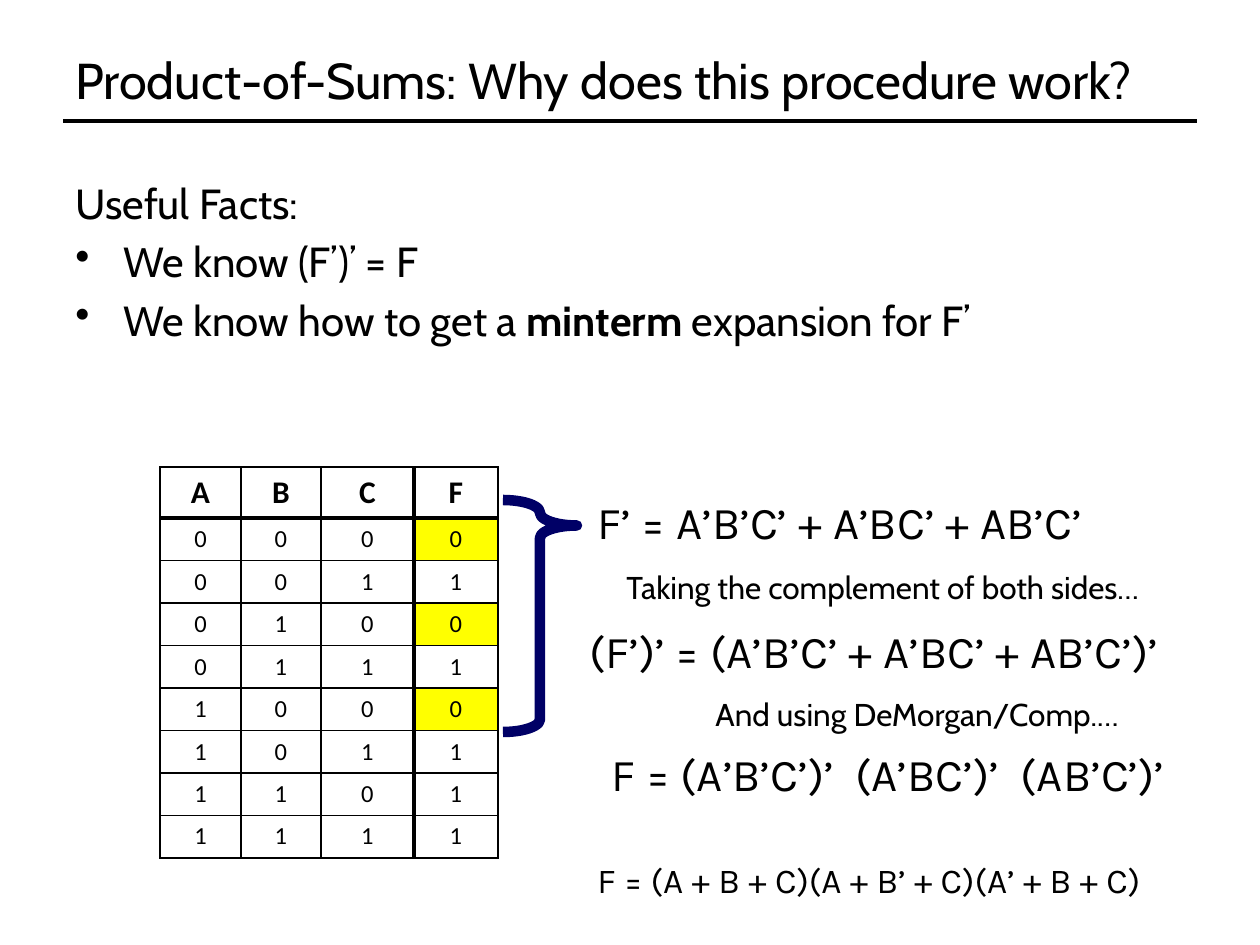
from itertools import product
from lxml.etree import SubElement
from pptx import Presentation
from pptx.dml.color import RGBColor
from pptx.enum.shapes import MSO_CONNECTOR, MSO_SHAPE
from pptx.enum.text import MSO_ANCHOR, MSO_AUTO_SIZE, PP_ALIGN
from pptx.oxml.ns import qn
from pptx.util import Pt

SCALE = 914400 / 126


def px(n):
    return round(n * SCALE)


def color(code):
    return RGBColor.from_string(code)


class Deck:
    """Holds the style and the current slide, and draws each kind of element."""

    ink, mark, navy = "000000", "FFFF00", "000066"
    prose, math, grid = "Cabin", "Karla", "Calibri"
    thin, thick = 1, 2.25

    def __init__(self, width, height):
        self.show = Presentation()
        self.show.slide_width, self.show.slide_height = px(width), px(height)
        self.slide = self.show.slides.add_slide(self.show.slide_layouts[6])

    def run(self, para, text, size, font, bold=False):
        run = para.add_run()
        run.text = text
        style = {"size": Pt(size), "name": font, "bold": bold}
        for key, value in style.items():
            setattr(run.font, key, value)
        run.font.color.rgb = color(self.ink)

    def text(self, box, lines, size, font, **form):
        frame = self.slide.shapes.add_textbox(*map(px, box)).text_frame
        style = {"word_wrap": True, "auto_size": MSO_AUTO_SIZE.NONE} | form
        for key, value in style.items():
            setattr(frame, key, value)
        for i, runs in enumerate(lines):
            para = frame.add_paragraph() if i else frame.paragraphs[0]
            for part, bold in runs:
                self.run(para, part, size, font, bold)
        return frame.paragraphs

    def label(self, box, text, size, font, wrap=True):
        self.text(box, [[(text, False)]], size, font, word_wrap=wrap,
                  auto_size=MSO_AUTO_SIZE.SHAPE_TO_FIT_TEXT)

    def bullet(self, para, indent):
        props = para._p.get_or_add_pPr()
        props.set("marL", str(px(indent)))
        props.set("indent", str(-px(indent)))
        SubElement(props, qn("a:buChar")).set("char", "•")

    def rule(self, left, right, y, width):
        line = self.slide.shapes.add_connector(
            MSO_CONNECTOR.STRAIGHT, px(left), px(y), px(right), px(y))
        line.line.color.rgb = color(self.ink)
        line.line.width = Pt(width)
        SubElement(line._element.spPr, qn("a:effectLst"))

    def brace(self, box, bends, width):
        shape = self.slide.shapes.add_shape(MSO_SHAPE.RIGHT_BRACE, *map(px, box))
        shape.shadow.inherit = False
        shape.fill.background()
        shape.line.color.rgb = color(self.navy)
        shape.line.width = Pt(width)
        for i, bend in enumerate(bends):
            shape.adjustments[i] = bend

    def border(self, cell, widths):
        props = cell._tc.get_or_add_tcPr()
        for side, width in widths.items():
            line = SubElement(props, qn(f"a:ln{side}"), w=str(Pt(width)))
            fill = SubElement(line, qn("a:solidFill"))
            SubElement(fill, qn("a:srgbClr"), val=self.ink)

    def table(self, box, rows, cols, head):
        frame = self.slide.shapes.add_table(len(rows), len(cols), *map(px, box))
        table = frame.table
        table.first_row = table.horz_banding = False
        for col, width in zip(table.columns, cols):
            col.width = px(width)
        step = (box[3] - head) / (len(rows) - 1)
        for r, values in enumerate(rows):
            table.rows[r].height = px(step if r else head)
            for c, value in enumerate(values):
                self.cell(table.cell(r, c), r, c, value, len(cols) - 1)

    def cell(self, cell, r, c, value, last):
        heavy = {"L": c == last, "R": c == last - 1, "T": r == 1, "B": r == 0}
        self.border(cell, {side: self.thick if on else self.thin
                           for side, on in heavy.items()})
        if c == last and value == "0":
            cell.fill.solid()
            cell.fill.fore_color.rgb = color(self.mark)
        else:
            cell.fill.background()
        cell.vertical_anchor = MSO_ANCHOR.MIDDLE
        para = cell.text_frame.paragraphs[0]
        para.alignment = PP_ALIGN.CENTER
        self.run(para, value, 14 if r else 18, self.grid, r == 0)


def main():
    deck = Deck(1260, 945)
    deck.rule(63, 1197, 121, 2)
    deck.text((63, 38, 1134, 83),
              [[("Product-of-Sums: Why does this procedure work?", False)]],
              28.8, deck.prose, vertical_anchor=MSO_ANCHOR.MIDDLE)

    zeros = {"000", "010", "100"}
    inputs = ["".join(bits) for bits in product("01", repeat=3)]
    rows = ["ABCF"] + [bits + ("0" if bits in zeros else "1") for bits in inputs]
    deck.table((160, 467, 338, 391), rows, (81, 80, 93, 84), 51)
    deck.brace((503, 500, 74, 232), (0.17, 0.11), 6)

    facts = deck.text((63, 171, 1134, 708), [
        [("Useful Facts:", False)],
        [("We know (F’)’ = F", False)],
        [("We know how to get a ", False), ("minterm", True),
         (" expansion for F’", False)],
    ], 24, deck.prose)
    for i, para in enumerate(facts):
        para.space_before = Pt(4.8)
        if i:
            deck.bullet(para, 48)

    steps = [
        ((585, 488, 630, 68), "F’ = A’B’C’ + A’BC’ + AB’C’", 26),
        ((577, 617, 650, 68), "(F’)’ = (A’B’C’ + A’BC’ + AB’C’)’", 26),
        ((599, 740, 650, 68), "F = (A’B’C’)’  (A’BC’)’  (AB’C’)’", 26),
        ((585, 852, 675, 55), "F = (A + B + C)(A + B’ + C)(A’ + B + C)", 20),
    ]
    for box, text, size in steps:
        deck.label(box, text, size, deck.math)
    notes = [
        ((614, 562, 553, 51), "Taking the complement of both sides…"),
        ((703, 689, 436, 51), "And using DeMorgan/Comp.…"),
    ]
    for box, text in notes:
        deck.label(box, text, 18, deck.prose, wrap=False)
    deck.show.save("out.pptx")


if __name__ == "__main__":
    main()
